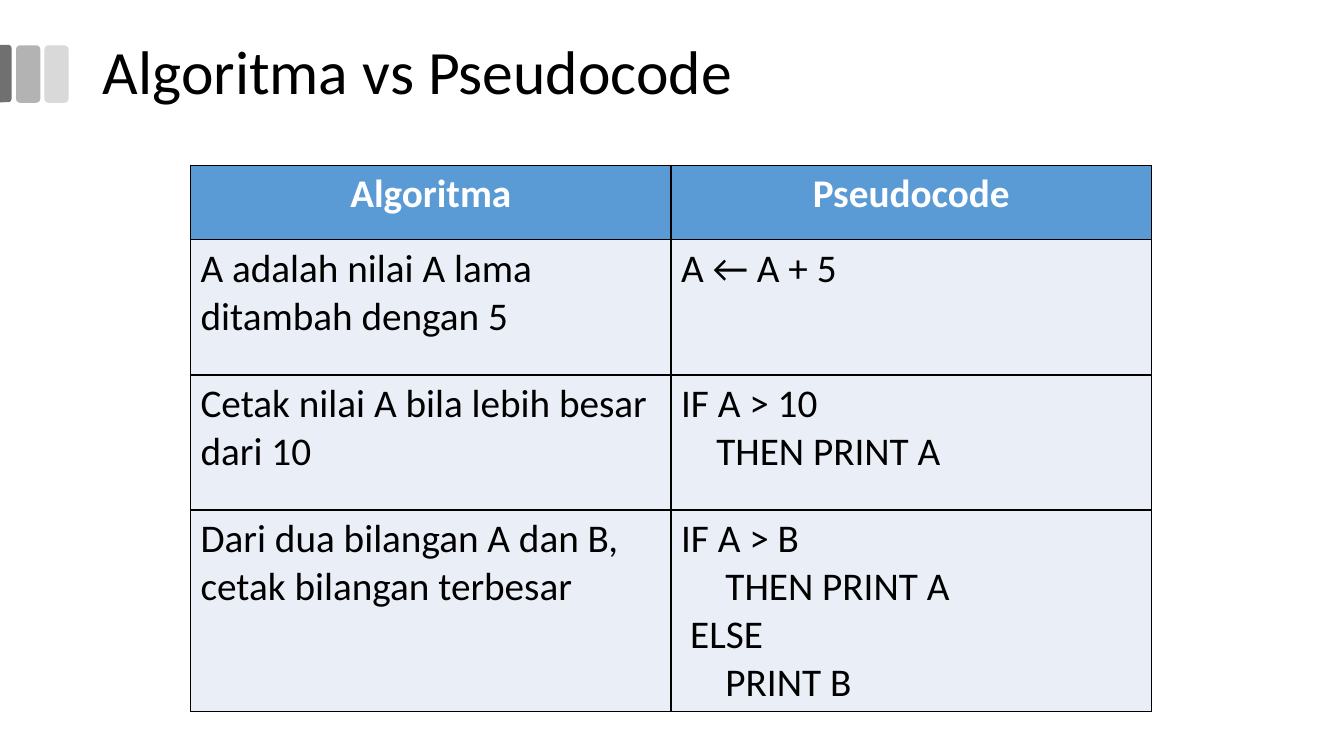
"""Build the slide that compares an algorithm with its pseudocode."""
import dataclasses

import pptx
import pptx.dml.color
import pptx.enum.shapes
import pptx.enum.text
import pptx.oxml
import pptx.oxml.ns
import pptx.util

Inches = pptx.util.Inches
SHAPES = pptx.enum.shapes.MSO_SHAPE
ALIGN = pptx.enum.text.PP_ALIGN
ANCHOR = pptx.enum.text.MSO_ANCHOR

TITLE = "Algoritma vs Pseudocode"
HEADER = ("Algoritma", "Pseudocode")
EXAMPLES = [
    ("A adalah nilai A lama ditambah dengan 5", [("A ← A + 5", 0)]),
    ("Cetak nilai A bila lebih besar dari 10",
     [("IF A > 10", 0), ("THEN PRINT A", 0.35)]),
    ("Dari dua bilangan A dan B, cetak bilangan terbesar",
     [("IF A > B", 0), ("THEN PRINT A", 0.44), ("ELSE", 0.09), ("PRINT B", 0.44)]),
]


@dataclasses.dataclass(frozen=True)
class Theme:
    font: str = "Calibri"
    title_size: int = 44
    table_size: int = 28
    text: str = "000000"
    header_text: str = "FFFFFF"
    header_fill: str = "5B9BD5"
    body_fill: str = "EAEFF7"
    border: str = "000000"
    light_bar: str = "D9D9D9"
    middle_bar: str = "B3B3B3"
    dark_bar: str = "707070"


THEME = Theme()
SLIDE_SIZE = (13.33, 7.5)
TITLE_BOX = (0.92, 0.01, 11.5, 1.45)
TABLE_BOX = (1.89, 1.64, 9.53, 5.42)
ROW_HEIGHTS = (0.74, 1.34, 1.34, 2.0)
BARS = [
    (SHAPES.ROUNDED_RECTANGLE, (0.44, 0.45, 0.24, 0.57), 0, (), THEME.light_bar),
    (SHAPES.ROUNDED_RECTANGLE, (0.16, 0.45, 0.24, 0.57), 0, (), THEME.middle_bar),
    (SHAPES.ROUND_2_SAME_RECTANGLE, (-0.23, 0.67, 0.57, 0.12), 90, (0.29, 0),
     THEME.dark_bar),
]


def color(code):
    """Return the colour object for a hex code."""
    return pptx.dml.color.RGBColor.from_string(code)


def apply(target, values):
    """Set each named value on the target."""
    for name, value in values.items():
        setattr(target, name, value)


def paint(target, code):
    """Give the target a solid fill."""
    target.fill.solid()
    target.fill.fore_color.rgb = color(code)


def write(para, text, size, code, bold=False):
    """Add one formatted span to a paragraph."""
    span = para.add_run()
    span.text = text
    apply(span.font, {"name": THEME.font, "size": pptx.util.Pt(size), "bold": bold})
    span.font.color.rgb = color(code)


def add_bars(page):
    """Draw the grey bars beside the title."""
    for preset, box, rotation, adjustments, code in BARS:
        bar = page.shapes.add_shape(preset, *map(Inches, box))
        bar.rotation = rotation
        for index, value in enumerate(adjustments):
            bar.adjustments[index] = value
        bar.shadow.inherit = False
        bar.line.fill.background()
        paint(bar, code)


def add_title(page):
    """Place and write the title."""
    title = page.shapes.title
    apply(title, dict(zip(("left", "top", "width", "height"), map(Inches, TITLE_BOX))))
    apply(title.text_frame, {"vertical_anchor": ANCHOR.MIDDLE, "word_wrap": True})
    para = title.text_frame.paragraphs[0]
    apply(para, {"alignment": ALIGN.LEFT, "line_spacing": 0.9})
    write(para, TITLE, THEME.title_size, THEME.text)


def add_borders(cell):
    """Draw a thin line on each side of a cell."""
    properties = cell._tc.get_or_add_tcPr()
    for side in ("lnL", "lnR", "lnT", "lnB"):
        properties.append(pptx.oxml.parse_xml(
            f'<a:{side} {pptx.oxml.ns.nsdecls("a")} w="12700"><a:solidFill>'
            f'<a:srgbClr val="{THEME.border}"/></a:solidFill></a:{side}>'))


def fill_cell(cell, lines, is_header):
    """Write indented lines into a cell and colour it."""
    add_borders(cell)
    paint(cell, THEME.header_fill if is_header else THEME.body_fill)
    frame = cell.text_frame
    for index, (text, indent) in enumerate(lines):
        para = frame.add_paragraph() if index else frame.paragraphs[0]
        para.alignment = ALIGN.CENTER if is_header else ALIGN.LEFT
        if indent:
            para._p.get_or_add_pPr().set("marL", str(Inches(indent)))
        write(para, text, THEME.table_size,
              THEME.header_text if is_header else THEME.text, is_header)


def add_table(page):
    """Build the comparison table."""
    rows = [[[(name, 0)] for name in HEADER]]
    rows += [[[(sentence, 0)], code] for sentence, code in EXAMPLES]
    table = page.shapes.add_table(len(rows), len(HEADER), *map(Inches, TABLE_BOX)).table
    for column in table.columns:
        column.width = Inches(TABLE_BOX[2] / len(HEADER))
    for row_index, (row, height) in enumerate(zip(rows, ROW_HEIGHTS)):
        table.rows[row_index].height = Inches(height)
        for column_index, lines in enumerate(row):
            fill_cell(table.cell(row_index, column_index), lines, row_index == 0)


def main():
    """Build and save the deck."""
    deck = pptx.Presentation()
    deck.slide_width, deck.slide_height = map(Inches, SLIDE_SIZE)
    page = deck.slides.add_slide(deck.slide_layouts[5])
    add_bars(page)
    add_title(page)
    add_table(page)
    deck.save("out.pptx")


if __name__ == "__main__":
    main()
